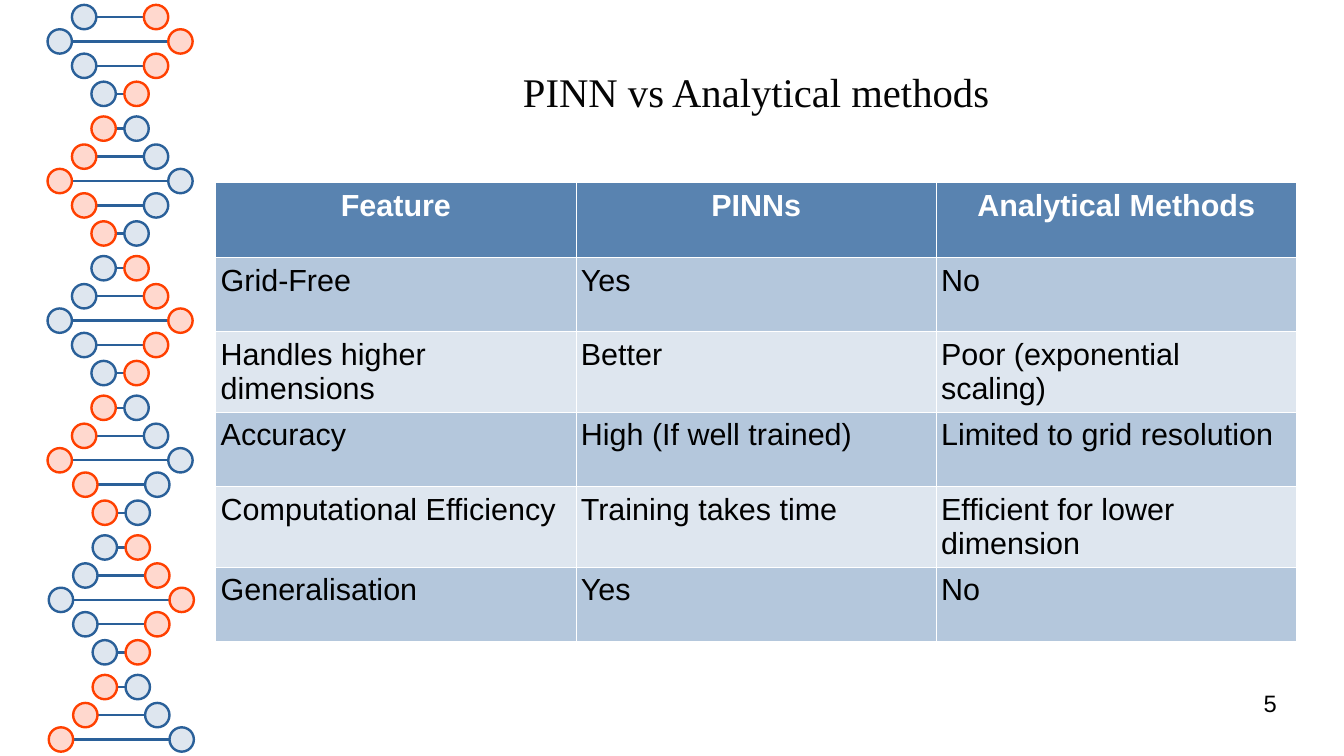
from lxml.etree import SubElement
from pptx import Presentation
from pptx.dml.color import RGBColor
from pptx.enum.shapes import MSO_CONNECTOR, MSO_SHAPE
from pptx.enum.text import MSO_ANCHOR, PP_ALIGN
from pptx.oxml import parse_xml
from pptx.oxml.ns import nsdecls, qn
from pptx.util import Inches, Pt

BLUE = ("DEE6EF", "2A6099")
ORANGE = ("FFD8CE", "FF4000")
DIAMETER = 0.2
HALF_TURN = 1.145
FIRST_MIDDLE = 0.24
HELIX_BOTTOM = 6
HELIX_CENTER = 0.985
RUNGS = [(-0.43, 0.135), (-0.2, 0.295), (0, 0.495), (0.2, 0.295), (0.43, 0.135)]

CONTENT_LEFT = 1.77
CONTENT_WIDTH = 8.86
ROW_HEIGHTS = [0.61, 0.61, 0.66, 0.61, 0.66, 0.61]
ROWS = [
    ("Feature", "PINNs", "Analytical Methods"),
    ("Grid-Free", "Yes", "No"),
    ("Handles higher dimensions", "Better", "Poor (exponential scaling)"),
    ("Accuracy", "High (If well trained)", "Limited to grid resolution"),
    ("Computational Efficiency", "Training takes time", "Efficient for lower dimension"),
    ("Generalisation", "Yes", "No"),
]


def color(value):
    return RGBColor.from_string(value)


def place(shape, left, top, width, height):
    shape.left, shape.top = Inches(left), Inches(top)
    shape.width, shape.height = Inches(width), Inches(height)


def clear_margins(text_frame):
    text_frame.margin_left = text_frame.margin_right = 0
    text_frame.margin_top = text_frame.margin_bottom = 0


def write(text_frame, text, size, font_name, font_color, alignment, bold=False):
    text_frame.text = text
    paragraph = text_frame.paragraphs[0]
    paragraph.alignment = alignment
    font = paragraph.runs[0].font
    font.size = Pt(size)
    font.name = font_name
    font.bold = bold
    font.color.rgb = color(font_color)


def add_bond(slide, left, right, y):
    bond = slide.shapes.add_connector(
        MSO_CONNECTOR.STRAIGHT, Inches(left), Inches(y), Inches(right), Inches(y))
    bond.line.color.rgb = color(BLUE[1])
    bond.line.width = Pt(1.42)
    SubElement(bond._element.spPr, qn("a:effectLst"))


def add_base(slide, center, top, colors):
    base = slide.shapes.add_shape(
        MSO_SHAPE.OVAL, Inches(center - DIAMETER / 2), Inches(top),
        Inches(DIAMETER), Inches(DIAMETER))
    base.shadow.inherit = False
    base.fill.solid()
    base.fill.fore_color.rgb = color(colors[0])
    base.line.color.rgb = color(colors[1])
    base.line.width = Pt(1.42)


def add_helix(slide):
    for turn in range(6):
        left_colors, right_colors = (ORANGE, BLUE) if turn % 2 else (BLUE, ORANGE)
        for offset, reach in RUNGS:
            top = FIRST_MIDDLE + turn * HALF_TURN + offset
            if not 0 < top < HELIX_BOTTOM:
                continue
            center = HELIX_CENTER + (0.01 if top > 3.8 else 0)
            left, right = center - reach, center + reach
            add_bond(slide, left + DIAMETER / 2, right - DIAMETER / 2, top + DIAMETER / 2)
            add_base(slide, left, top, left_colors)
            add_base(slide, right, top, right_colors)


def add_title(slide):
    title = slide.shapes.title
    place(title, CONTENT_LEFT, 0.24, CONTENT_WIDTH, 1.02)
    clear_margins(title.text_frame)
    title.text_frame.vertical_anchor = MSO_ANCHOR.MIDDLE
    write(title.text_frame, "PINN vs Analytical methods", 24, "Times New Roman",
          "050505", PP_ALIGN.CENTER)


def add_borders(cell):
    properties = cell._tc.get_or_add_tcPr()
    for index, side in enumerate(("lnL", "lnR", "lnT", "lnB")):
        properties.insert(index, parse_xml(
            f'<a:{side} {nsdecls("a")} w="{Pt(0.57)}"><a:solidFill>'
            f'<a:srgbClr val="FFFFFF"/></a:solidFill></a:{side}>'))


def format_cell(cell, text, fill, font_color, alignment, bold):
    cell.margin_left = cell.margin_right = Inches(0.04)
    cell.margin_top = cell.margin_bottom = Inches(0.05)
    cell.fill.solid()
    cell.fill.fore_color.rgb = color(fill)
    write(cell.text_frame, text, 18, "Arial", font_color, alignment, bold)
    add_borders(cell)


def add_comparison(slide):
    table = slide.shapes.add_table(
        len(ROWS), len(ROWS[0]), Inches(CONTENT_LEFT), Inches(1.5),
        Inches(CONTENT_WIDTH), Inches(sum(ROW_HEIGHTS))).table
    for row_index, texts in enumerate(ROWS):
        table.rows[row_index].height = Inches(ROW_HEIGHTS[row_index])
        if row_index == 0:
            style = ("5983B0", "FFFFFF", PP_ALIGN.CENTER, True)
        else:
            fill = "B4C7DC" if row_index % 2 else "DEE6EF"
            style = (fill, "000000", PP_ALIGN.LEFT, False)
        for column_index, text in enumerate(texts):
            format_cell(table.cell(row_index, column_index), text, *style)


def add_page_number(slide):
    box = slide.shapes.add_textbox(Inches(7.9), Inches(5.65), Inches(2.57), Inches(0.43))
    box.text_frame.word_wrap = True
    clear_margins(box.text_frame)
    write(box.text_frame, "5", 14, "Arial", "000000", PP_ALIGN.RIGHT)


def main():
    presentation = Presentation()
    presentation.slide_width = Inches(11.02)
    presentation.slide_height = Inches(6.2)
    slide = presentation.slides.add_slide(presentation.slide_layouts[5])
    add_helix(slide)
    add_comparison(slide)
    add_title(slide)
    add_page_number(slide)
    presentation.save("out.pptx")


if __name__ == "__main__":
    main()
